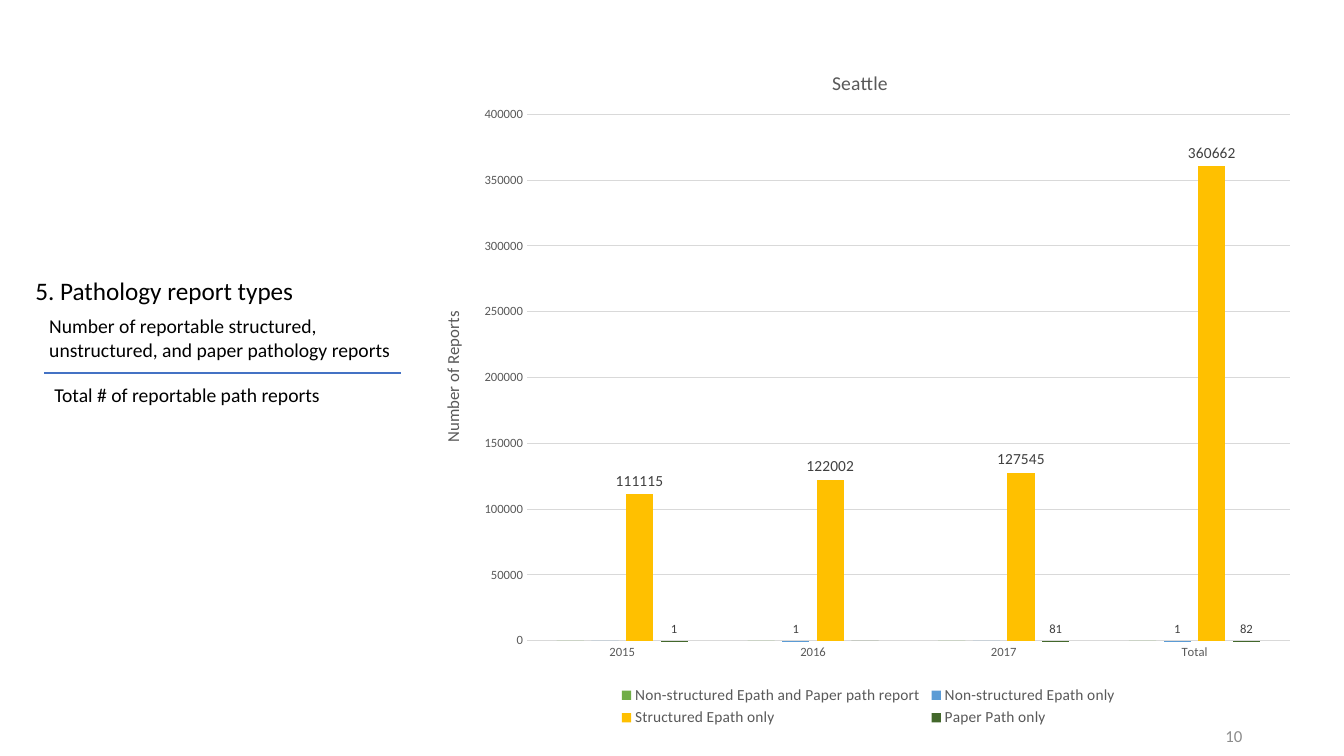
from dataclasses import dataclass

from lxml.etree import SubElement
from pptx import Presentation
from pptx.chart.data import CategoryChartData
from pptx.dml.color import RGBColor
from pptx.enum.chart import (XL_CHART_TYPE, XL_LABEL_POSITION,
                             XL_LEGEND_POSITION, XL_TICK_MARK)
from pptx.enum.shapes import MSO_CONNECTOR
from pptx.enum.text import MSO_ANCHOR, MSO_AUTO_SIZE, PP_ALIGN
from pptx.oxml import parse_xml
from pptx.oxml.ns import nsdecls, qn
from pptx.util import Inches, Pt


@dataclass(frozen=True)
class Theme:
    face: str = "Calibri"
    ink: str = "000000"
    rule: str = "4472C4"
    page: str = "8C8C8C"
    soft: str = "595959"
    label: str = "404040"
    grid: str = "D9D9D9"
    head: int = 18
    body: int = 14
    note: int = 12
    key: int = 11
    tick: int = 9


THEME = Theme()
YEARS = ("2015", "2016", "2017", "Total")
# Name, values, fill, label size (None for no labels)
SERIES = (
    ("Non-structured Epath and Paper path report", (0, 0, 0, 0), "70AD47", None),
    ("Non-structured Epath only", (0, 1, 0, 1), "5B9BD5", THEME.tick),
    ("Structured Epath only", (111115, 122002, 127545, 360662), "FFC000", THEME.key),
    ("Paper Path only", (1, 0, 81, 82), "43682B", THEME.tick),
)


def tint(font, size, color):
    font.name = THEME.face
    font.size = Pt(size)
    font.bold = False
    font.color.rgb = RGBColor.from_string(color)


def put(shape, text, size=THEME.body, color=THEME.ink,
        align=PP_ALIGN.LEFT, anchor=MSO_ANCHOR.TOP):
    frame = shape.text_frame
    frame.word_wrap = True
    frame.auto_size = MSO_AUTO_SIZE.NONE
    frame.vertical_anchor = anchor
    para = frame.paragraphs[0]
    para.alignment = align
    run = para.add_run()
    run.text = text
    tint(run.font, size, color)


def add_box(slide, left, top, width, height):
    return slide.shapes.add_textbox(
        Inches(left), Inches(top), Inches(width), Inches(height))


def add_measure(slide, left, top, width):
    # Heading
    title = slide.shapes.title
    title.left, title.top = Inches(left), Inches(top)
    title.width, title.height = Inches(3.2), Inches(0.4)
    put(title, "5. Pathology report types", size=THEME.head)

    # Fraction: numerator, rule, denominator
    put(add_box(slide, left + 0.14, top + 0.39, width - 0.14, 0.57),
        "Number of reportable structured, unstructured, and paper pathology reports")
    line = slide.shapes.add_connector(
        MSO_CONNECTOR.STRAIGHT, Inches(left + 0.19), Inches(top + 1.02),
        Inches(left + width - 0.01), Inches(top + 1.02))
    line.line.color.rgb = RGBColor.from_string(THEME.rule)
    line.line.width = Pt(1.5)
    SubElement(line._element.spPr, qn("a:effectLst"))
    put(add_box(slide, left + 0.19, top + 1.07, 3.01, 0.34),
        "Total # of reportable path reports")


def pin(part, index, inner=False, **spots):
    """Fix a chart part at fractions of the chart box."""
    for old in part.findall(qn("c:layout")):
        part.remove(old)
    target = '<c:layoutTarget val="inner"/>' if inner else ""
    modes = '<c:xMode val="edge"/><c:yMode val="edge"/>'
    sizes = "".join(f'<c:{key} val="{val}"/>' for key, val in spots.items())
    part.insert(index, parse_xml(
        f'<c:layout {nsdecls("c")}><c:manualLayout>{target}{modes}{sizes}'
        '</c:manualLayout></c:layout>'))


def name_part(title, text, size, **spots):
    run = title.text_frame.paragraphs[0].add_run()
    run.text = text
    tint(run.font, size, THEME.soft)
    pin(title._element, 1, **spots)


def style_axis(axis):
    axis.major_tick_mark = axis.minor_tick_mark = XL_TICK_MARK.NONE
    tint(axis.tick_labels.font, THEME.tick, THEME.soft)


def style_line(line):
    line.color.rgb = RGBColor.from_string(THEME.grid)
    line.width = Pt(0.75)


def add_graph(slide, left, top, width, height):
    data = CategoryChartData()
    data.categories = YEARS
    for name, values, *_ in SERIES:
        data.add_series(name, values)
    chart = slide.shapes.add_chart(
        XL_CHART_TYPE.COLUMN_CLUSTERED, Inches(left), Inches(top),
        Inches(width), Inches(height), data).chart
    tint(chart.font, 10, THEME.ink)
    name_part(chart.chart_title, "Seattle", THEME.body, x=0.46, y=0.04)

    # Axes
    cats, vals = chart.category_axis, chart.value_axis
    style_axis(cats)
    style_line(cats.format.line)
    style_axis(vals)
    vals.format.line.fill.background()
    vals.minimum_scale, vals.maximum_scale, vals.major_unit = 0, 400000, 50000
    style_line(vals.major_gridlines.format.line)
    name_part(vals.axis_title, "Number of Reports", THEME.note, x=0.02, y=0.39)

    # Columns; the number format hides zero labels
    plot = chart.plots[0]
    plot.gap_width, plot.overlap, plot.vary_by_categories = 219, -27, False
    for series, (_, _, color, size) in zip(plot.series, SERIES):
        series.format.fill.solid()
        series.format.fill.fore_color.rgb = RGBColor.from_string(color)
        if size:
            labels = series.data_labels
            labels.show_value = True
            labels.position = XL_LABEL_POSITION.OUTSIDE_END
            labels.number_format = "0;;"
            labels.number_format_is_linked = False
            tint(labels.font, size, THEME.label)

    # Legend and plot area
    chart.has_legend = True
    chart.legend.position = XL_LEGEND_POSITION.BOTTOM
    chart.legend.include_in_layout = False
    tint(chart.legend.font, THEME.key, THEME.soft)
    pin(chart.legend._element, 1, x=0.22, y=0.93, w=0.57, h=0.07)
    pin(chart._chartSpace.chart.plotArea, 0, inner=True,
        x=0.12, y=0.11, w=0.86, h=0.76)


def main():
    deck = Presentation()
    deck.slide_width, deck.slide_height = Inches(13.33), Inches(7.5)
    slide = deck.slides.add_slide(deck.slide_layouts[5])
    add_measure(slide, 0.25, 2.68, 3.74)
    # Page number
    put(add_box(slide, 9.42, 7.1, 3, 0.4), "10", size=THEME.note,
        color=THEME.page, align=PP_ALIGN.RIGHT, anchor=MSO_ANCHOR.MIDDLE)
    add_graph(slide, 4.17, 0.38, 8.8, 6.87)
    deck.save("out.pptx")


if __name__ == "__main__":
    main()
